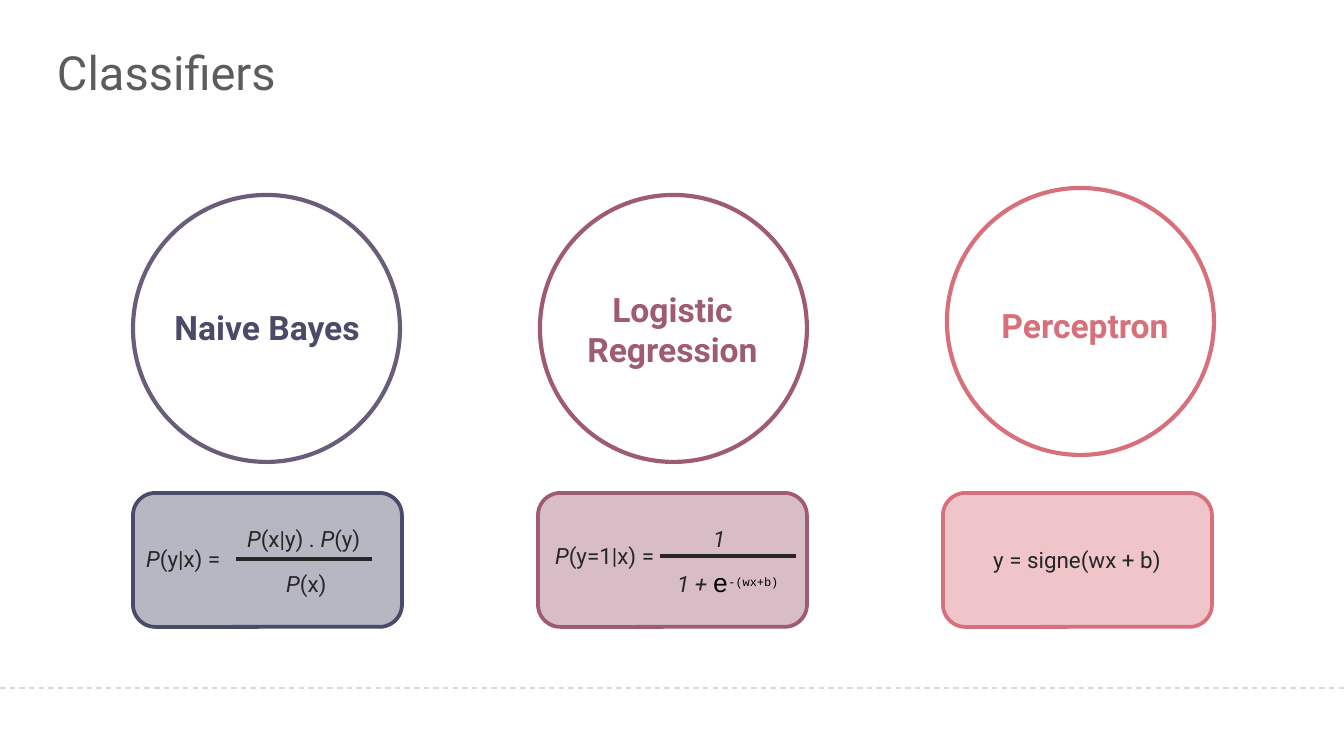
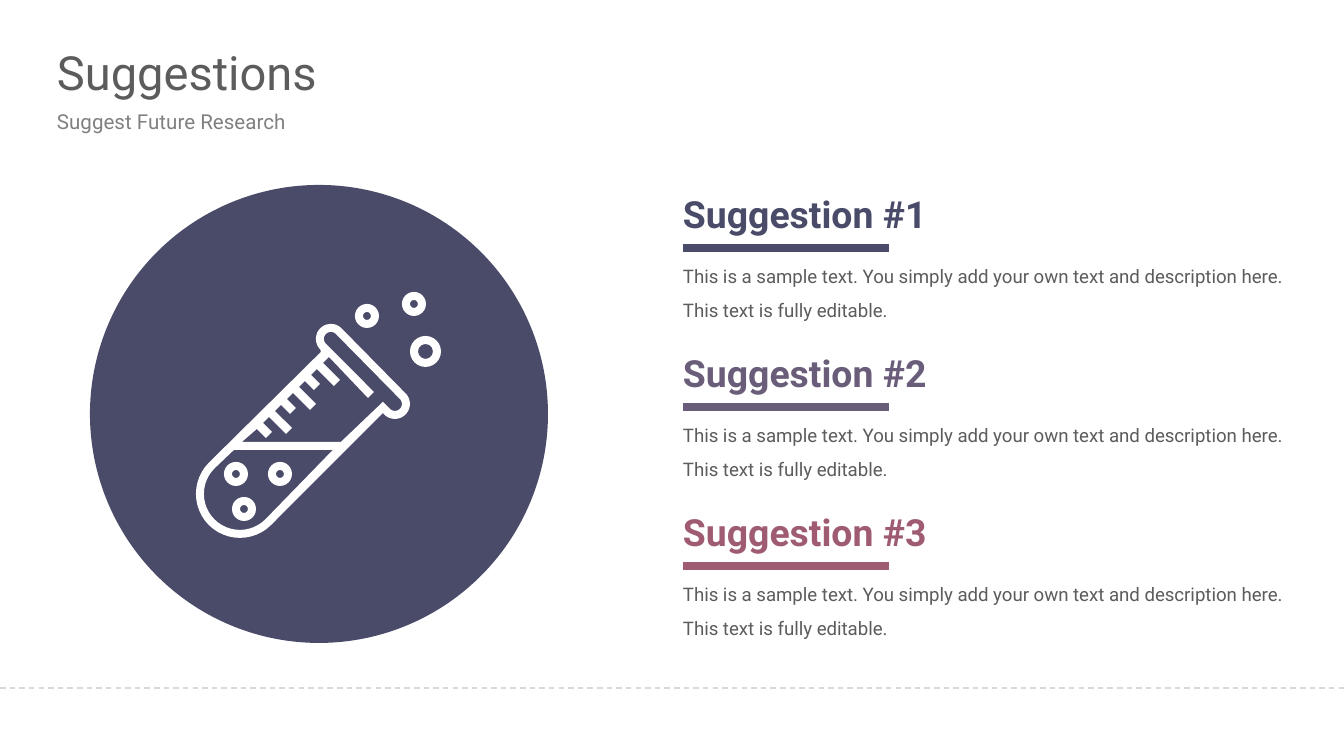
from dataclasses import dataclass
from math import cos, radians, sin

from lxml import etree
from pptx import Presentation
from pptx import util as u
from pptx.dml.color import RGBColor
from pptx.enum import dml, shapes, text
from pptx.oxml import ns

SCALE = 914400 / 134.4
FONT = "Roboto"
COLORS = {
    "navy": "494B69",
    "violet": "695D7A",
    "plum": "9F5B72",
    "rose": "D8707C",
    "title": "5C5C5C",
    "subtitle": "808080",
    "ink": "262626",
    "rule": "D9D9D9",
    "black": "000000",
    "white": "FFFFFF",
}
SAMPLE_TEXT = (
    "This is a sample text. You simply add your own text and description here. "
    "This text is fully editable."
)


@dataclass
class Classifier:
    name: str
    ring_color: str
    color: str
    ring_at: tuple
    label_box: tuple
    formula: list
    bar: tuple = None


CLASSIFIERS = [
    Classifier(
        "Naive Bayes", "violet", "navy", (0, -298), (19, -193, 230, 54),
        [
            ((0, 46, 102, 40), [("P", "variable"), ("(y|x) =", "plain")]),
            ((140, 71, 95, 40), [("P", "variable"), ("(x)", "plain")]),
            ((101, 26, 203, 40), [("P", "variable"), ("(x|y) . ", "plain"),
                                  ("P", "variable"), ("(y)", "plain")]),
        ],
        (103, 66),
    ),
    Classifier(
        "Logistic Regression", "plum", "plum", (2, -298), (29, -211, 211, 95),
        [
            ((4, 43, 151, 40), [("P", "variable"), ("(y=1|x) =", "plain")]),
            ((126, 67, 142, 46), [("1 + ", "variable"), ("e", "base"),
                                  ("-(wx+b)", "power")]),
            ((162, 26, 43, 40), [("1", "variable")]),
        ],
        (122, 63),
    ),
    Classifier(
        "Perceptron", "rose", "rose", (4, -305), (37, -195, 210, 54),
        [((37, 47, 211, 40), [("y = signe(wx + b)", "plain")])],
    ),
]


def px(value):
    return u.Emu(round(value * SCALE))


def rgb(name):
    return RGBColor.from_string(COLORS[name])


def shifted(box, left, top):
    return (left + box[0], top + box[1], *box[2:])


def style_font(font, size, color, bold=None, name=FONT):
    font.name = name
    font.size = u.Pt(size)
    font.color.rgb = rgb(color)
    font.bold = bold


def add_text(slide, box, content, size, color, bold=None, align=None,
             anchor=text.MSO_ANCHOR.TOP, inset=True, grow=True):
    shape = slide.shapes.add_textbox(*map(px, box))
    frame = shape.text_frame
    frame.word_wrap = True
    frame.vertical_anchor = anchor
    if grow:
        frame.auto_size = text.MSO_AUTO_SIZE.SHAPE_TO_FIT_TEXT
    if not inset:
        frame.margin_left = frame.margin_right = 0
        frame.margin_top = frame.margin_bottom = 0
    paragraph = frame.paragraphs[0]
    paragraph.alignment = align
    if content:
        paragraph.add_run().text = content
    style_font(paragraph.font, size, color, bold)
    return paragraph


def add_formula(slide, box, parts):
    paragraph = add_text(slide, box, "", 12, "ink")
    for content, style in parts:
        run = paragraph.add_run()
        run.text = content
        run.font.italic = style == "variable"
        if style in ("base", "power"):
            style_font(run.font, 14 if style == "base" else 11, "black",
                       name="Courier New")
        if style == "power":
            run.font._element.set("baseline", "30000")


def add_line(slide, left, top, length, color, width):
    line = slide.shapes.add_connector(
        shapes.MSO_CONNECTOR.STRAIGHT,
        px(left), px(top), px(left + length), px(top))
    line.line.color.rgb = rgb(color)
    line.line.width = u.Pt(width)
    etree.SubElement(line._element.spPr, ns.qn("a:effectLst"))
    return line


def paint(shape, fill=None, line=None, width=2, opacity=None):
    shape.shadow.inherit = False
    if fill:
        shape.fill.solid()
        shape.fill.fore_color.rgb = rgb(fill)
    else:
        shape.fill.background()
    if opacity:
        color = shape._element.spPr.find(".//" + ns.qn("a:srgbClr"))
        etree.SubElement(color, ns.qn("a:alpha"), val=str(opacity * 1000))
    if line:
        shape.line.color.rgb = rgb(line)
        shape.line.width = u.Pt(width)
    else:
        shape.line.fill.background()


def add_preset(slide, preset, box, **style):
    shape = slide.shapes.add_shape(preset, *map(px, box))
    paint(shape, **style)
    return shape


def add_base_slide(presentation, title, subtitle=None):
    slide = presentation.slides.add_slide(presentation.slide_layouts[6])
    footer = add_line(slide, 0, 688, 1344, "rule", 0.75)
    footer.line.dash_style = dml.MSO_LINE.DASH
    heading = {"anchor": text.MSO_ANCHOR.MIDDLE, "inset": False, "grow": False}
    add_text(slide, (57, 42, 1229, 60), title, 25.2, "title", **heading)
    if subtitle:
        add_text(slide, (57, 108, 1229, 26), subtitle, 11, "subtitle", **heading)
    return slide


def add_classifier(slide, classifier, box):
    left, top = box[:2]
    add_preset(slide, shapes.MSO_SHAPE.OVAL,
               shifted((*classifier.ring_at, 267, 267), left, top),
               line=classifier.ring_color, width=2.25)
    add_preset(slide, shapes.MSO_SHAPE.ROUNDED_RECTANGLE, box,
               fill=classifier.color, line=classifier.color, opacity=40)
    add_text(slide, shifted(classifier.label_box, left, top), classifier.name,
             18, classifier.color, bold=True, align=text.PP_ALIGN.CENTER)
    for part_box, parts in classifier.formula:
        add_formula(slide, shifted(part_box, left, top), parts)
    if classifier.bar:
        add_line(slide, *shifted(classifier.bar, left, top), 136, "ink", 2.25)


def arc(center, radius, start, end, steps=24):
    angles = [radians(start + (end - start) * i / steps) for i in range(steps + 1)]
    return [(center[0] + radius * cos(a), center[1] + radius * sin(a))
            for a in angles]


def tube_contours():
    upper_lip, lower_lip, base = (241, 154), (305, 219), (150, 309)
    outline = [
        *arc(upper_lip, 15, -45, -225), (231, 167),
        *arc(base, 44, 225, 45), (293, 228),
        *arc(lower_lip, 15, 135, -45),
    ]
    liquid = [*arc(base, 36, 45, 225), (144, 265), (243, 265)]
    ticks = []
    for i in range(6):
        x, y = 167 + 12 * i, 244 - 12 * i
        depth = 17 if i % 2 else 9
        ticks += [(x, y), (x + depth, y + depth),
                  (x + depth + 6, y + depth - 6), (x + 6, y - 6)]
    air = [
        *arc(lower_lip, 7, -45, 135), (293, 217), (251, 257), (152, 257),
        *ticks, (239, 172), (278, 213), (284, 207),
        *arc(upper_lip, 7, 135, 315),
    ]
    return [outline, liquid, air]


def add_test_tube(slide, box):
    left, top = box[:2]
    add_preset(slide, shapes.MSO_SHAPE.OVAL, box, fill="navy")
    builder = None
    for contour in tube_contours():
        points = [(px(left + x), px(top + y)) for x, y in contour]
        if builder is None:
            builder = slide.shapes.build_freeform(*points[0])
        else:
            builder.move_to(*points[0])
        builder.add_line_segments(points[1:], close=True)
    paint(builder.convert_to_shape(), fill="white")
    bubbles = [(320, 151, 31), (265, 119, 24), (312, 107, 24),
               (134, 277, 24), (178, 277, 24), (142, 312, 24)]
    for x, y, size in bubbles:
        bubble = add_preset(slide, shapes.MSO_SHAPE.DONUT,
                            (left + x, top + y, size, size), fill="white")
        bubble.adjustments[0] = 8 / size


def add_suggestion(slide, box, title, color):
    left, top, width = box
    add_line(slide, left, top + 57, 206, color, 4.5)
    add_text(slide, (left, top, width, 46), title, 20, color, bold=True,
             anchor=text.MSO_ANCHOR.MIDDLE, inset=False)
    body = add_text(slide, (left, top + 63, width, 65), SAMPLE_TEXT, 10, "title",
                    inset=False)
    body.line_spacing = 1.5
    body.space_after = u.Pt(10)


def build_classifiers(presentation):
    slide = add_base_slide(presentation, "Classifiers")
    for i, classifier in enumerate(CLASSIFIERS):
        add_classifier(slide, classifier, (133 + 405 * i, 493, 269, 134))


def build_suggestions(presentation):
    slide = add_base_slide(presentation, "Suggestions", "Suggest Future Research")
    add_test_tube(slide, (90, 185, 458, 458))
    for i, color in enumerate(("navy", "violet", "plum")):
        add_suggestion(slide, (683, 191 + 159 * i, 603),
                       f"Suggestion #{i + 1}", color)


def main():
    presentation = Presentation()
    presentation.slide_width = px(1344)
    presentation.slide_height = px(756)
    build_classifiers(presentation)
    build_suggestions(presentation)
    presentation.save("out.pptx")


if __name__ == "__main__":
    main()
